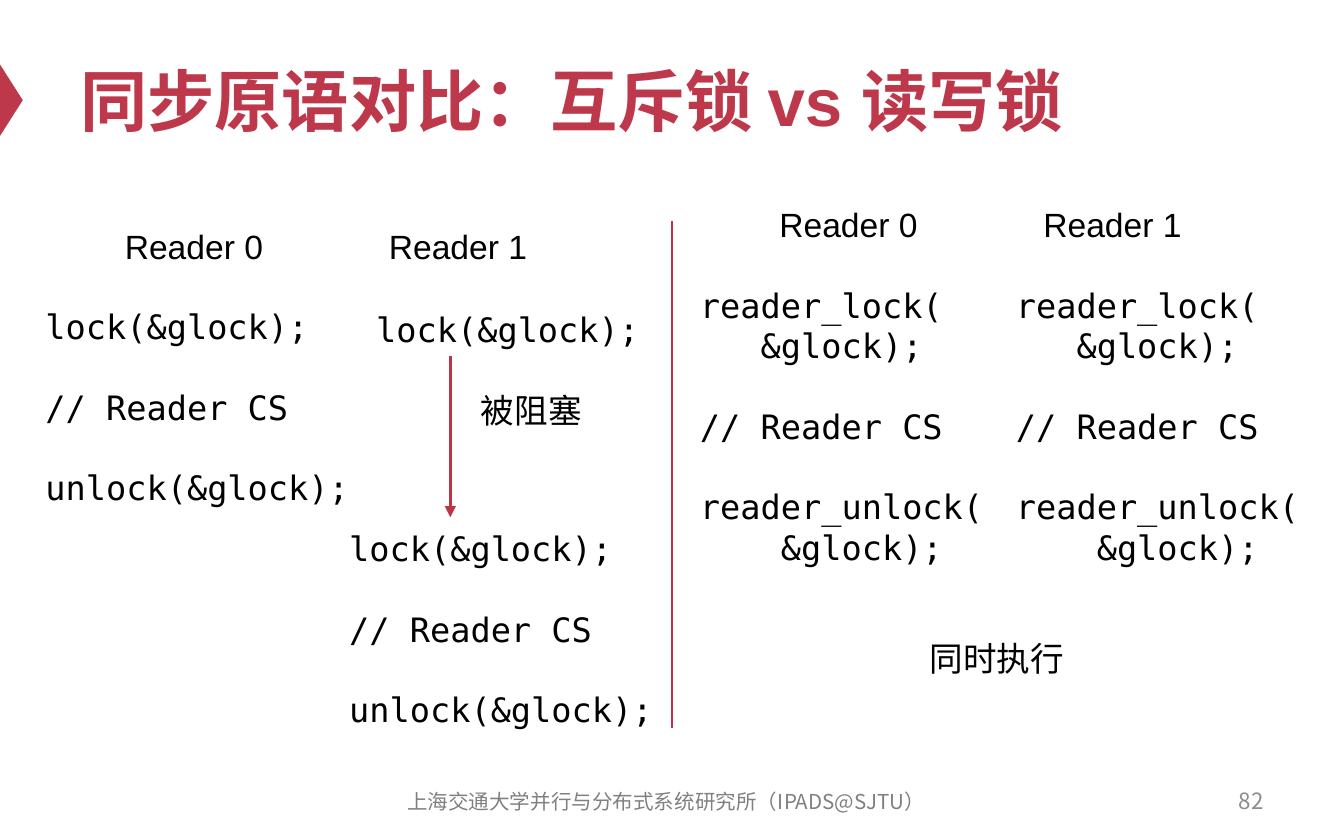
from dataclasses import dataclass

import pptx
import pptx.dml.color
import pptx.enum.shapes
import pptx.enum.text
import pptx.oxml
import pptx.oxml.ns
import pptx.util

Cm, Pt = pptx.util.Cm, pptx.util.Pt
ALIGN = pptx.enum.text.PP_ALIGN
ANCHOR = pptx.enum.text.MSO_ANCHOR
FIT = pptx.enum.text.MSO_AUTO_SIZE
SHAPE = pptx.enum.shapes.MSO_SHAPE
CONNECTOR = pptx.enum.shapes.MSO_CONNECTOR

COLORS = {"title": "BE384B", "line": "BD3347", "text": "000000",
          "footer": "808080", "number": "8C8C8C"}
SANS, MONO, CJK = "Arial", "DejaVu Sans Mono", "Noto Sans CJK SC"
BLANK_LINE = Pt(21.6)

# Each code text is a tuple of groups, set apart by the height of one line
MUTEX = (("lock(&glock);",), ("// Reader CS",), ("unlock(&glock);",))
RWLOCK = (("reader_lock(", "   &glock);"), ("// Reader CS",),
          ("reader_unlock(", "    &glock);"))


@dataclass
class Label:
    """A text box; position and size in centimetres."""
    groups: tuple
    left: float
    top: float
    width: float
    height: float = 1.02
    font: str = SANS
    size: float = 18
    color: str = "text"
    bold: bool = False
    align: ALIGN = ALIGN.LEFT
    framed: bool = False  # fixed size, wrapped and vertically centred


@dataclass
class Line:
    """A straight vertical line; coordinates in centimetres."""
    x: float
    start: float
    end: float
    arrow: bool = False


def rgb(name: str) -> pptx.dml.color.RGBColor:
    return pptx.dml.color.RGBColor.from_string(COLORS[name])


def set_all(obj, values: dict) -> None:
    for name, value in values.items():
        setattr(obj, name, value)


def draw_label(s, label: Label) -> None:
    sp = s.shapes.add_textbox(Cm(label.left), Cm(label.top),
                              Cm(label.width), Cm(label.height))
    tf = sp.text_frame
    set_all(tf, {
        "word_wrap": label.framed,
        "auto_size": FIT.NONE if label.framed else FIT.SHAPE_TO_FIT_TEXT,
        "vertical_anchor": ANCHOR.MIDDLE if label.framed else ANCHOR.TOP,
    })
    first = True
    for group in label.groups:
        for i, text in enumerate(group):
            p = tf.paragraphs[0] if first else tf.add_paragraph()
            p.alignment = label.align
            if i == 0 and not first:
                p.space_before = BLANK_LINE
            first = False
            r = p.add_run()
            r.text = text
            set_all(r.font, {"name": label.font, "size": Pt(label.size),
                             "bold": label.bold})
            r.font.color.rgb = rgb(label.color)
            # East Asian glyphs
            ea = pptx.oxml.parse_xml(
                f'<a:ea {pptx.oxml.ns.nsdecls("a")} typeface="{CJK}"/>')
            r.font._element.find(pptx.oxml.ns.qn("a:latin")).addnext(ea)


def draw_line(s, line: Line) -> None:
    c = s.shapes.add_connector(CONNECTOR.STRAIGHT, Cm(line.x), Cm(line.start),
                               Cm(line.x), Cm(line.end))
    c.line.color.rgb = rgb("line")
    c.line.width = Pt(1.5)
    ns = pptx.oxml.ns.nsdecls("a")
    if line.arrow:
        c.line._get_or_add_ln().append(
            pptx.oxml.parse_xml(f'<a:tailEnd {ns} type="triangle"/>'))
    c._element.spPr.append(pptx.oxml.parse_xml(f"<a:effectLst {ns}/>"))


def draw_marker(s) -> None:
    sp = s.shapes.add_shape(SHAPE.ISOSCELES_TRIANGLE,
                            Cm(-0.46), Cm(1.68), Cm(1.35), Cm(0.43))
    sp.rotation = 90
    sp.shadow.inherit = False
    sp.fill.solid()
    sp.fill.fore_color.rgb = rgb("title")
    sp.line.fill.background()


def one(text: str) -> tuple:
    return ((text,),)


LABELS = [
    # Title and footer
    Label(one("同步原语对比：互斥锁 vs 读写锁"), 1.27, 0.64, 22.86, 2.49,
          size=36, color="title", bold=True, framed=True),
    Label(one("上海交通大学并行与分布式系统研究所（IPADS@SJTU）"),
          7.09, 14.73, 11, 0.84, font=CJK, size=11, color="footer",
          align=ALIGN.CENTER, framed=True),
    Label(one("82"), 18.21, 14.71, 5.92, 0.84, font=CJK, size=12,
          color="number", align=ALIGN.RIGHT, framed=True),
    # Mutex side
    Label(MUTEX, 0.61, 5.66, 6.25, 4.11, font=MONO),
    Label(MUTEX, 6.35, 9.86, 6.25, 4.11, font=MONO),
    Label(one("lock(&glock);"), 6.86, 5.72, 5.49, font=MONO),
    Label(one("被阻塞"), 8.84, 7.24, 2.44),
    # Read-write lock side
    Label(RWLOCK, 12.98, 5.26, 5.87, 5.64, font=MONO),
    Label(RWLOCK, 18.95, 5.26, 5.87, 5.64, font=MONO),
    Label(one("同时执行"), 17.32, 11.94, 3.07),
]
# Column headings of both sides
for side_left, side_top in ((2.11, 4.15), (14.48, 3.73)):
    LABELS += [Label(one(f"Reader {i}"), side_left + 4.99 * i, side_top, 3.15)
               for i in range(2)]

# Divider and the wait of the blocked reader
LINES = [Line(12.7, 13.77, 4.17), Line(8.51, 6.73, 9.78, arrow=True)]


def main() -> None:
    prs = pptx.Presentation()
    set_all(prs, {"slide_width": Cm(25.4), "slide_height": Cm(15.88)})
    s = prs.slides.add_slide(prs.slide_layouts[6])
    draw_marker(s)
    for line in LINES:
        draw_line(s, line)
    for label in LABELS:
        draw_label(s, label)
    prs.save("out.pptx")


if __name__ == "__main__":
    main()
